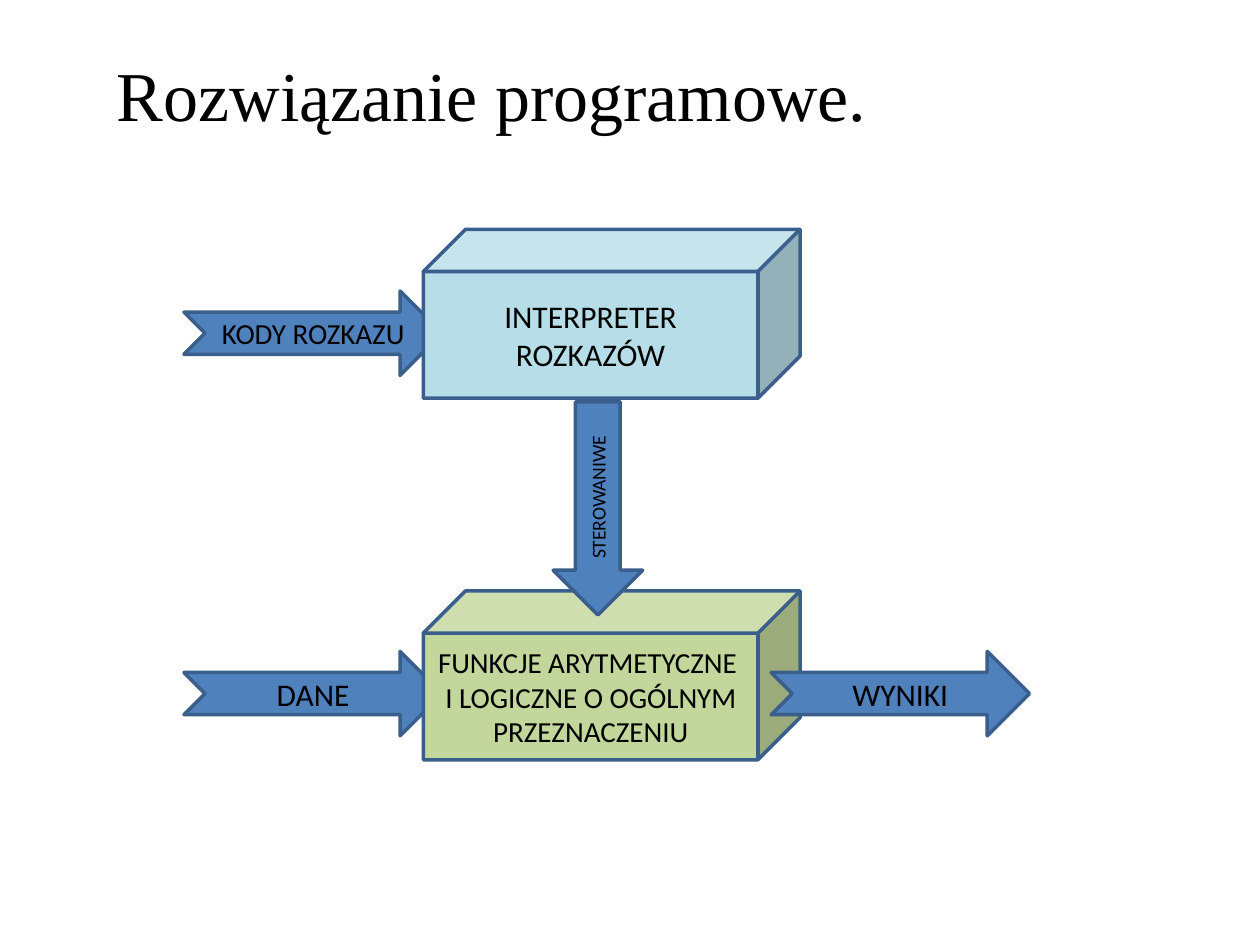
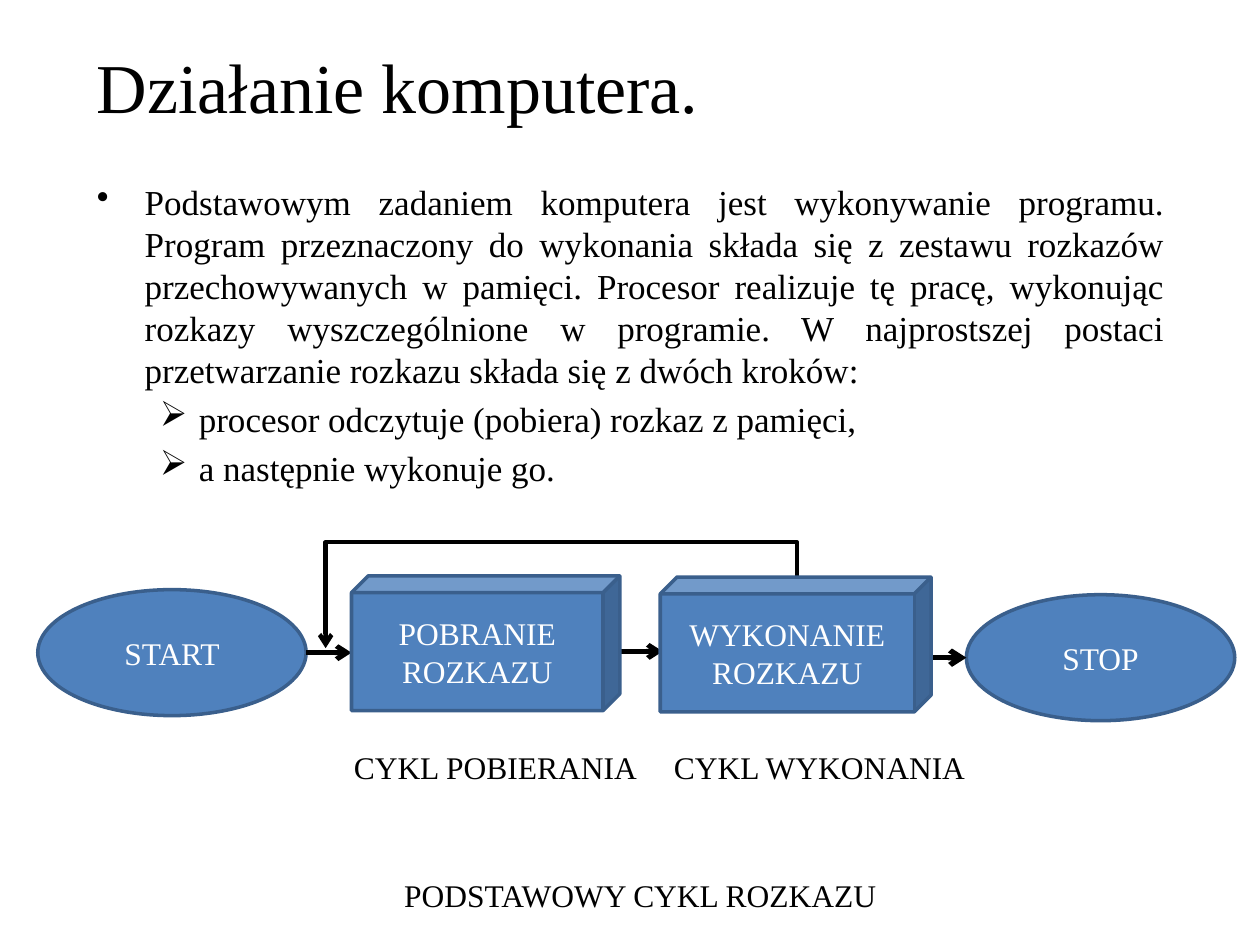
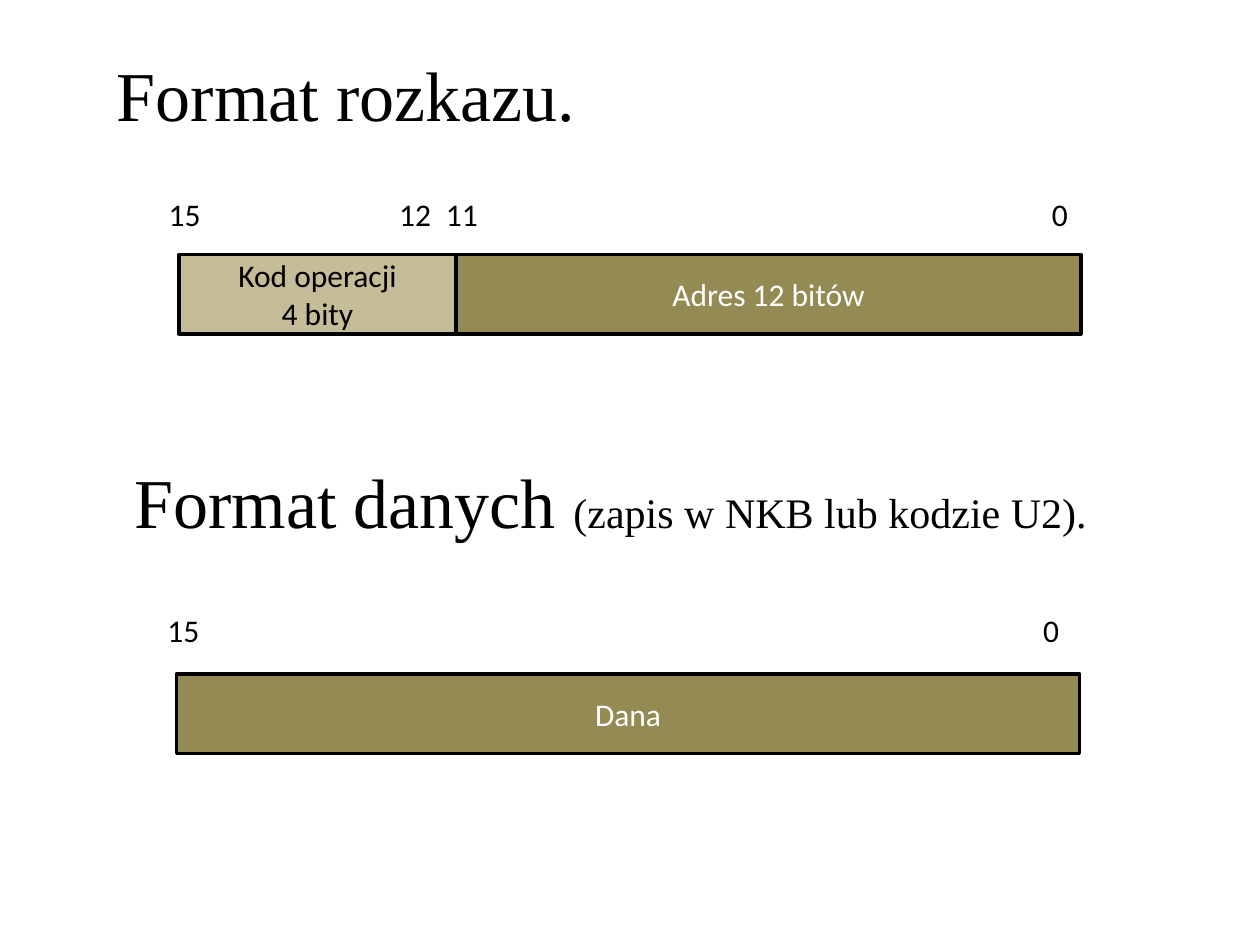
"""Build three slides on program execution, the instruction cycle and word formats."""
from lxml.etree import SubElement
from pptx import Presentation
from pptx.dml.color import RGBColor
from pptx.enum.shapes import MSO_CONNECTOR, MSO_SHAPE
from pptx.enum.text import MSO_ANCHOR, PP_ALIGN
from pptx.oxml.ns import qn
from pptx.util import Inches, Pt

COLORS = {
    "black": "000000", "white": "FFFFFF", "blue": "4F81BD", "edge": "3A5F8C",
    "green": "C3D69B", "aqua": "B7DEE8", "olive": "948A54", "tan": "C4BD97",
}
SERIF, SANS = "Times New Roman", "Calibri"


def add_text(s, x, y, w, h, parts, font=SERIF):
    sp = s.shapes.add_textbox(Inches(x), Inches(y), Inches(w), Inches(h))
    sp.text_frame.word_wrap = True
    p = sp.text_frame.paragraphs[0]
    for text, size in parts:
        r = p.add_run()
        r.text = text
        r.font.name, r.font.size = font, Pt(size)
        r.font.color.rgb = RGBColor.from_string(COLORS["black"])
    return sp


def add_block(s, kind, box, text, size, font, color, fill, edge="edge"):
    sp = s.shapes.add_shape(kind, *[Inches(v) for v in box])
    sp.shadow.inherit = False
    sp.fill.solid()
    sp.fill.fore_color.rgb = RGBColor.from_string(COLORS[fill])
    sp.line.color.rgb = RGBColor.from_string(COLORS[edge])
    sp.line.width = Pt(2)
    tf = sp.text_frame
    tf.word_wrap = True
    tf.vertical_anchor = MSO_ANCHOR.MIDDLE
    tf.text = text
    for p in tf.paragraphs:
        p.alignment = PP_ALIGN.CENTER
        for r in p.runs:
            r.font.name, r.font.size = font, Pt(size)
            r.font.color.rgb = RGBColor.from_string(COLORS[color])
    return sp


prs = Presentation()
prs.slide_width, prs.slide_height = Inches(10), Inches(7.5)
blank = prs.slide_layouts[6]

s = prs.slides.add_slide(blank)
add_text(s, 0.83, 0.36, 8.82, 0.77, [("Rozwiązanie programowe.", 40)])
arrow, cube = MSO_SHAPE.NOTCHED_RIGHT_ARROW, MSO_SHAPE.CUBE
functions = "FUNKCJE ARYTMETYCZNE \vI LOGICZNE O OGÓLNYM PRZEZNACZENIU"
for kind, x, y, w, h, text, size, fill in [
    (arrow, 1.46, 5.17, 2.05, 0.67, "DANE", 18, "blue"),
    (cube, 3.36, 4.69, 2.99, 1.34, functions, 16.6, "green"),
    (arrow, 1.46, 2.31, 2.05, 0.67, "KODY ROZKAZU", 16.6, "blue"),
    (MSO_SHAPE.DOWN_ARROW, 4.39, 3.19, 0.71, 1.69, "STEROWANIWE", 11.2, "blue"),
    (arrow, 6.12, 5.17, 2.05, 0.67, "WYNIKI", 18, "blue"),
    (cube, 3.36, 1.82, 2.99, 1.34, "INTERPRETER ROZKAZÓW", 18, "aqua"),
]:
    sp = add_block(s, kind, (x, y, w, h), text, size, SANS, "black", fill)
    if kind == MSO_SHAPE.DOWN_ARROW:
        sp.text_frame._txBody.bodyPr.set("vert", "vert270")

s = prs.slides.add_slide(blank)
add_text(s, 0.67, 0.3, 8.67, 1.25, [("Działanie komputera.", 40)])
intro = (
    "Podstawowym zadaniem komputera jest wykonywanie programu. "
    "Program przeznaczony do wykonania składa się z zestawu rozkazów "
    "przechowywanych w pamięci. Procesor realizuje tę pracę, wykonując "
    "rozkazy wyszczególnione w programie. W najprostszej postaci "
    "przetwarzanie rozkazu składa się z dwóch kroków:"
)
tf = add_text(s, 0.67, 1.38, 8.67, 4.5, []).text_frame
for i, (text, level, bullet, margin, hanging) in enumerate([
    (intro, 0, "•", 0.38, 0.38),
    ("procesor odczytuje (pobiera) rozkaz z pamięci, ", 1, "➢", 0.81, 0.31),
    ("a następnie wykonuje go.", 1, "➢", 0.81, 0.31),
]):
    p = tf.add_paragraph() if i else tf.paragraphs[0]
    p.text = text
    p.level = level
    p.alignment = PP_ALIGN.JUSTIFY
    p.space_before = Pt(4)
    p.runs[0].font.name, p.runs[0].font.size = SERIF, Pt(20)
    p.runs[0].font.color.rgb = RGBColor.from_string(COLORS["black"])
    pPr = p._p.get_or_add_pPr()
    pPr.set("marL", str(Inches(margin)))
    pPr.set("indent", str(-Inches(hanging)))
    SubElement(pPr, qn("a:buChar")).set("char", bullet)

for x, y, text in [(0.3, 4.68, "START"), (7.67, 4.72, "STOP")]:
    add_block(s, MSO_SHAPE.OVAL, (x, y, 2.13, 1), text, 18, SERIF, "white", "blue")

straight, elbow = MSO_CONNECTOR.STRAIGHT, MSO_CONNECTOR.ELBOW
for kind, x1, y1, x2, y2, width in [
    (elbow, 4.67, 6.8, 4.24, 3.06, 2.5),
    (straight, 2.43, 5.18, 2.79, 5.18, 2.75),
    (straight, 7.39, 5.22, 7.67, 5.22, 3),
    (straight, 4.9, 5.17, 5.26, 5.17, 2.75),
]:
    cn = s.shapes.add_connector(kind, Inches(x1), Inches(y1), Inches(x2), Inches(y2))
    cn.line.color.rgb = RGBColor.from_string(COLORS["black"])
    cn.line.width = Pt(width)
    SubElement(cn.line._get_or_add_ln(), qn("a:tailEnd")).set("type", "arrow")
    spPr = cn._element.spPr
    SubElement(spPr, qn("a:effectLst"))
    if kind == elbow:
        spPr.find(qn("a:xfrm")).set("rot", str(270 * 60000))
        bend = SubElement(spPr.find(qn("a:prstGeom")).find(qn("a:avLst")), qn("a:gd"))
        bend.set("name", "adj1")
        bend.set("fmla", "val -95700")

for x, y, w, text in [
    (2.79, 4.57, 2.13, "POBRANIE ROZKAZU"),
    (5.24, 4.58, 2.15, "WYKONANIE ROZKAZU"),
]:
    sp = add_block(s, cube, (x, y, w, 1.07), text, 18, SERIF, "white", "blue")
    sp.adjustments[0] = 0.125
for x, y, text in [
    (2.71, 5.89, "CYKL POBIERANIA"),
    (5.25, 5.89, "CYKL WYKONANIA"),
    (3.11, 6.9, "PODSTAWOWY CYKL ROZKAZU"),
]:
    add_text(s, x, y, 4, 0.4, [(text, 18)]).text_frame.word_wrap = False

s = prs.slides.add_slide(blank)
add_text(s, 0.83, 0.36, 8.03, 0.77, [("Format rozkazu.", 40)])
add_text(s, 0.97, 3.59, 8.03, 0.77,
         [("Format danych ", 40), ("(zapis w NKB lub kodzie U2).", 24)])
for x, y, w, text, color, fill in [
    (3.62, 2.02, 4.96, "Adres 12 bitów", "white", "olive"),
    (1.42, 2.02, 2.2, "Kod operacji\n4 bity", "black", "tan"),
    (1.4, 5.35, 7.17, "Dana", "white", "olive"),
]:
    add_block(s, MSO_SHAPE.RECTANGLE, (x, y, w, 0.63), text, 18, SANS, color, fill, "black")
for x, y, bit in [
    (1.24, 1.5, "15"), (3.07, 1.5, "12"), (3.44, 1.5, "11"), (8.25, 1.5, "0"),
    (1.23, 4.8, "15"), (8.18, 4.8, "0"),
]:
    add_text(s, x, y, 0.5, 0.4, [(bit, 18)], SANS)

prs.save("out.pptx")
